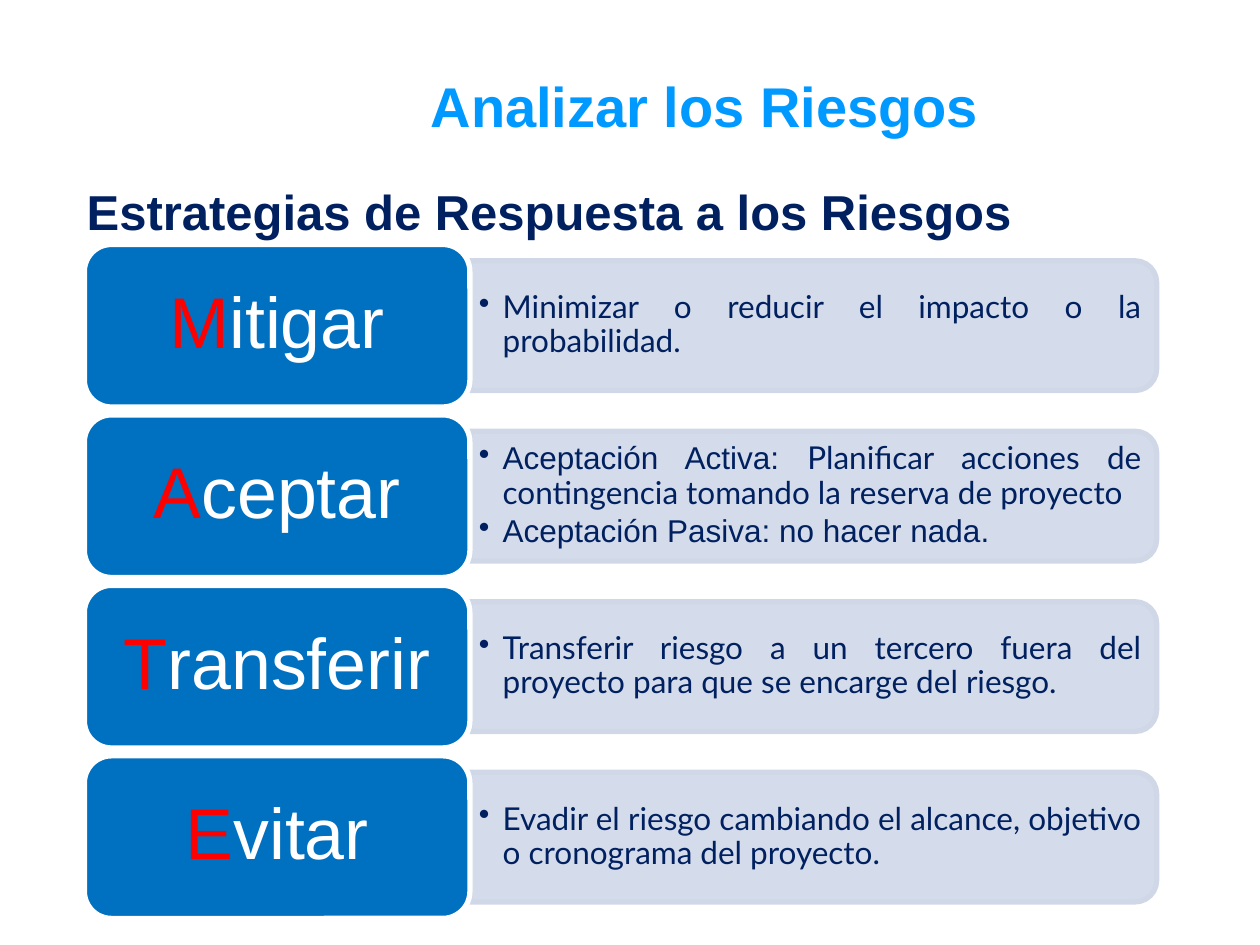
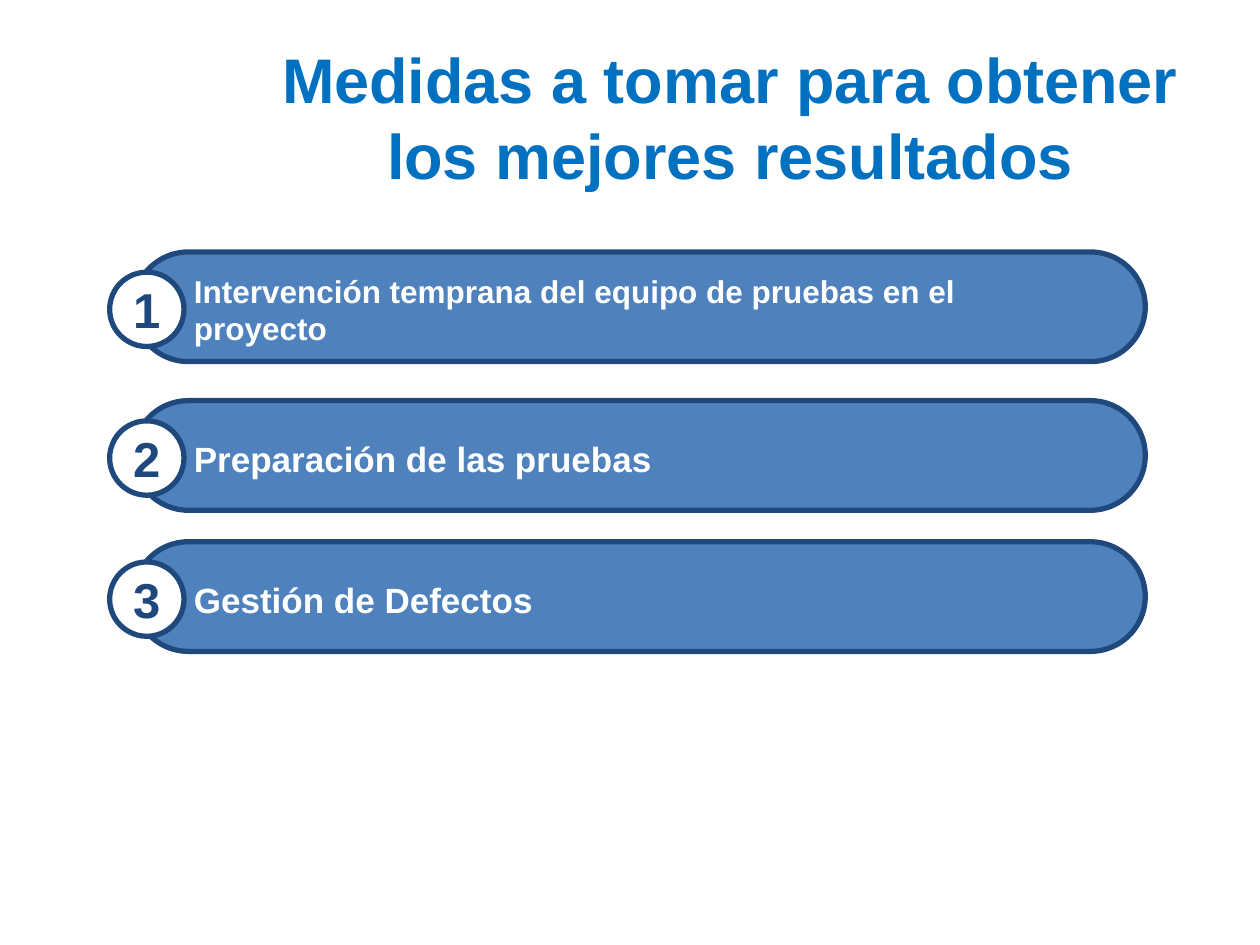
from lxml import etree
from pptx import Presentation
from pptx.dml.color import RGBColor
from pptx.enum.shapes import MSO_SHAPE
from pptx.enum.text import MSO_ANCHOR, PP_ALIGN
from pptx.oxml.ns import qn
from pptx.util import Inches, Pt

ROUND, TAB, OVAL = (MSO_SHAPE.ROUNDED_RECTANGLE,
                    MSO_SHAPE.ROUND_2_SAME_RECTANGLE, MSO_SHAPE.OVAL)
TOP, MIDDLE = MSO_ANCHOR.TOP, MSO_ANCHOR.MIDDLE
LEFT, CENTER, JUSTIFY = PP_ALIGN.LEFT, PP_ALIGN.CENTER, PP_ALIGN.JUSTIFY

WHITE, RED, NAVY, BLUE = "FFFFFF", "FF0000", "002060", "0070C0"
SKY, PALE, STEEL, DEEP = "0099FF", "D0D8E8", "4F81BD", "1F497D"
SANS, BODY = "Arial", "Lato"

# Each strategy: name, then paragraphs made of (text, font) runs
PLANS = [
    ("Mitigar", [[("Minimizar o reducir el impacto o la probabilidad.", BODY)]]),
    ("Aceptar", [
        [("Aceptación Activa: ", SANS),
         ("Planificar acciones de contingencia tomando la reserva de proyecto", BODY)],
        [("Aceptación Pasiva: no hacer nada.", SANS)]]),
    ("Transferir", [[("Transferir riesgo a un tercero fuera del proyecto "
                      "para que se encarge del riesgo.", BODY)]]),
    ("Evitar", [[("Evadir el riesgo cambiando el alcance, objetivo o "
                  "cronograma del proyecto.", BODY)]]),
]

# Each measure: top of its bar, text, text size
STEPS = [
    (2, "Intervención temprana del equipo de pruebas en el proyecto", 18),
    (3.18, "Preparación de las pruebas", 20),
    (4.3, "Gestión de Defectos", 20),
]


def tint(code):
    return RGBColor.from_string(code)


def assign(target, values):
    for name, value in values.items():
        setattr(target, name, value)


def place(box):
    return [Inches(value) for value in box]


def add_run(para, text, size, color, font=SANS, bold=False):
    run = para.add_run()
    run.text = text
    assign(run.font, {"size": Pt(size), "name": font, "bold": bold})
    run.font.color.rgb = tint(color)
    return run


def add_shape(shapes, kind, box, fill, line):
    shape = shapes.add_shape(kind, *place(box))
    shape.shadow.inherit = False
    shape.fill.solid()
    shape.fill.fore_color.rgb = tint(fill)
    shape.line.color.rgb = tint(line)
    shape.line.width = Pt(3)
    return shape


def add_text(shapes, box, anchor=TOP, pad=(0.1, 0.05)):
    """Add a wrapping text box and return its frame."""
    frame = shapes.add_textbox(*place(box)).text_frame
    side, edge = place(pad)
    assign(frame, {"word_wrap": True, "vertical_anchor": anchor,
                   "margin_left": side, "margin_right": side,
                   "margin_top": edge, "margin_bottom": edge})
    return frame


def add_head(slide, box, text, size, color, align=CENTER, anchor=TOP):
    """Add a bold heading and return its run."""
    para = add_text(slide.shapes, box, anchor).paragraphs[0]
    para.alignment = align
    return add_run(para, text, size, color, bold=True)


def add_bullet(para):
    props = para._p.get_or_add_pPr()
    props.set("marL", str(Inches(0.19)))
    props.set("indent", str(-Inches(0.19)))
    etree.SubElement(props, qn("a:buChar")).set("char", "•")


def cast_shadow(run):
    props = run._r.get_or_add_rPr()
    effects = etree.Element(qn("a:effectLst"))
    shade = etree.SubElement(effects, qn("a:outerShdw"),
                             dist=str(Pt(2)), dir="2700000")
    etree.SubElement(shade, qn("a:srgbClr"), val="000000")
    props.find(qn("a:solidFill")).addnext(effects)


def add_plan(slide, left, top, name, paras):
    shapes = slide.shapes.add_group_shape().shapes
    # Panel: a tab turned so that its round corners face right
    wide, high = 5.45, 1.03
    mid_x, mid_y = left + 3.06 + wide / 2, top + 0.645
    panel = add_shape(shapes, TAB, (mid_x - high / 2, mid_y - wide / 2, high, wide),
                      PALE, PALE)
    panel.rotation = 90
    for color in panel._element.spPr.iterfind(
            f"{qn('a:solidFill')}/{qn('a:srgbClr')}"):
        etree.SubElement(color, qn("a:alpha"), val="90000")
    frame = add_text(shapes, (left + 3.06, top + 0.18, 5.4, 0.93),
                     MIDDLE, (0.07, 0.04))
    for index, runs in enumerate(paras):
        para = frame.add_paragraph() if index else frame.paragraphs[0]
        assign(para, {"alignment": JUSTIFY, "level": 1, "line_spacing": 0.9,
                      "space_after": Pt(2.7)})
        add_bullet(para)
        for text, font in runs:
            add_run(para, text, 18, NAVY, font)
    # Label with a red initial
    add_shape(shapes, ROUND, (left, top, 3.06, 1.29), BLUE, WHITE)
    para = add_text(shapes, (left + 0.06, top + 0.06, 2.94, 1.16),
                    MIDDLE, (0.17, 0.09)).paragraphs[0]
    assign(para, {"alignment": CENTER, "line_spacing": 0.9})
    add_run(para, name[0], 41, RED)
    add_run(para, name[1:], 41, WHITE)


def add_step(slide, left, top, number, text, size):
    shapes = slide.shapes.add_group_shape().shapes
    bar = add_shape(shapes, ROUND, (left + 0.19, top, 8.03, 0.87), STEEL, DEEP)
    bar.adjustments[0] = 0.5
    # Numbered disc
    disc = add_shape(shapes, OVAL, (left, top + 0.16, 0.59, 0.59), WHITE, DEEP)
    disc.text_frame.vertical_anchor = MIDDLE
    para = disc.text_frame.paragraphs[0]
    para.alignment = CENTER
    add_run(para, str(number), 28, DEEP, bold=True)
    frame = add_text(shapes, (left + 0.57, top + 0.1, 7.32, 0.71), MIDDLE)
    add_run(frame.paragraphs[0], text, size, WHITE, bold=True)


def build_plans(slide):
    for index, (name, paras) in enumerate(PLANS):
        add_plan(slide, 0.67, 1.94 + 1.353 * index, name, paras)
    add_head(slide, (0.59, 1.39, 7.87, 0.57),
             "Estrategias de Respuesta a los Riesgos", 28, NAVY, LEFT)
    add_head(slide, (2.01, 0.52, 7.17, 0.64), "Analizar los Riesgos", 32, SKY)


def build_steps(slide):
    title = add_head(slide, (2.09, 0.3, 7.41, 1.25),
                     "Medidas a tomar para obtener los mejores resultados",
                     36, BLUE, anchor=MIDDLE)
    cast_shadow(title)
    for number, (top, text, size) in enumerate(STEPS, 1):
        add_step(slide, 0.87, top, number, text, size)


def main():
    deck = Presentation()
    assign(deck, {"slide_width": Inches(10), "slide_height": Inches(7.5)})
    for build in (build_plans, build_steps):
        build(deck.slides.add_slide(deck.slide_layouts[6]))
    deck.save("out.pptx")


if __name__ == "__main__":
    main()
